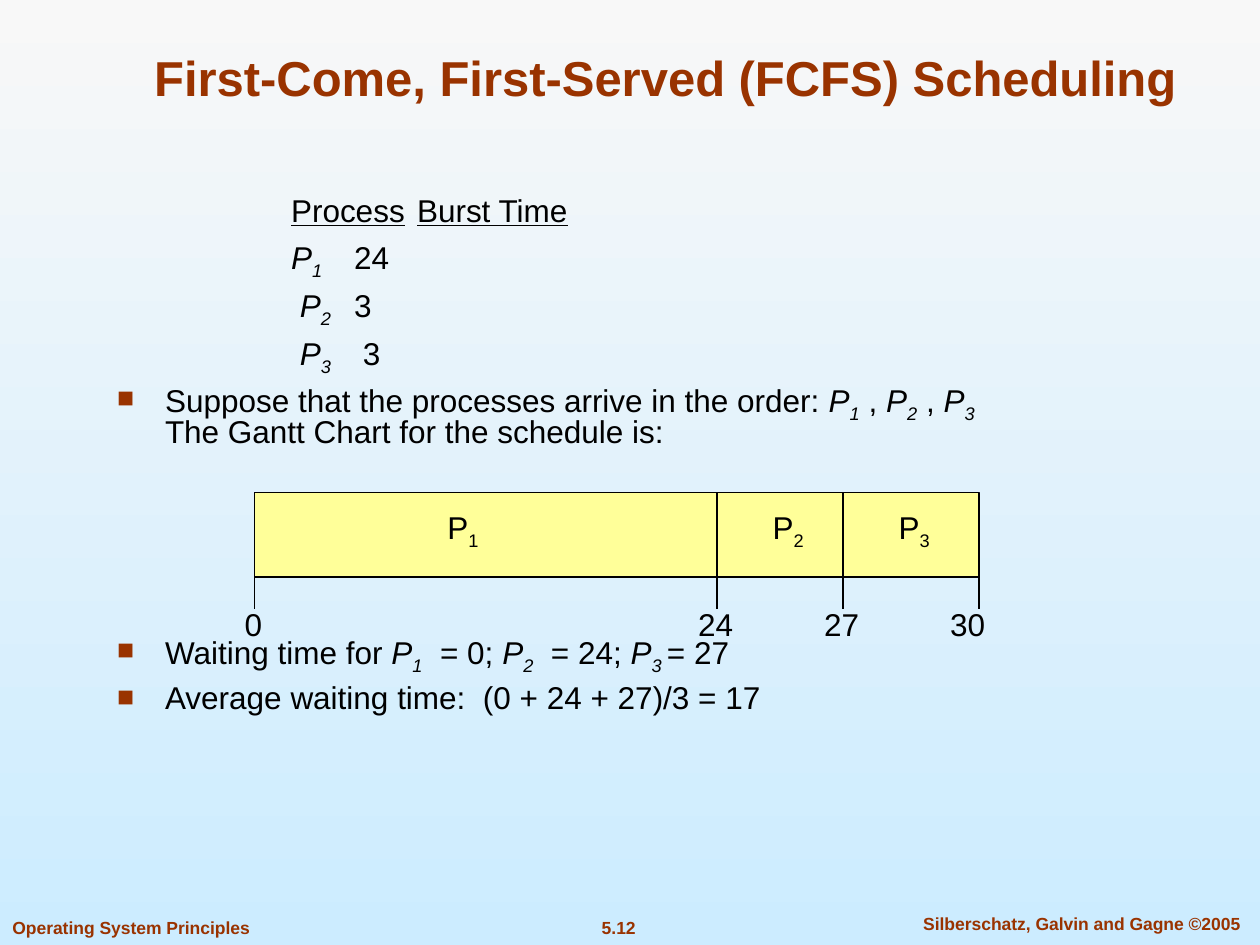
"""Build the first-come, first-served scheduling slide with its Gantt chart."""
from typing import NamedTuple

from lxml import etree
from pptx import Presentation
from pptx import util as u
from pptx.dml.color import RGBColor
from pptx.enum import shapes, text
from pptx.oxml.ns import qn

HUES = {"rust": "993300", "ink": "000000", "bar": "FFFF99", "top": "F8F8F8", "base": "CCECFF"}
FONT = "Arial"
WIDE, HIGH = u.Inches(10), u.Inches(7.5)
LEFT, MID = text.PP_ALIGN.LEFT, text.PP_ALIGN.CENTER
TABS = (1, 2.38)


class Box(NamedTuple):
    left: float
    top: float
    wide: float
    high: float


class Line(NamedTuple):
    words: str
    gap: float
    mark: str = "italic"
    bullet: bool = False


class Note(NamedTuple):
    words: str
    box: Box
    align: text.PP_ALIGN


class Job(NamedTuple):
    name: str
    spot: float


class Tick(NamedTuple):
    time: str
    edge: float
    spot: float


NOTES = [
    Note("5.12", Box(44.2, 96.4, 9.8, 3.6), MID),
    Note("Silberschatz, Galvin and Gagne ©2005", Box(71, 96, 29.7, 3.6), MID),
    Note("Operating System Principles", Box(0, 96.4, 24, 3.6), LEFT),
]
LINES = [
    Line("*Process*\t*Burst Time*", 0, "underline"),
    Line("*P1*\t24", 7.9),
    Line(" *P2*\t3", 7.9),
    Line(" *P3*\t 3", 7.9),
    Line("Suppose that the processes arrive in the order: *P1* , *P2* , *P3*\n"
         "The Gantt Chart for the schedule is:", 7, bullet=True),
    Line("Waiting time for *P1*  = 0; *P2*  = 24; *P3 *= 27", 107.2, bullet=True),
    Line("Average waiting time:  (0 + 24 + 27)/3 = 17", 7.9, bullet=True),
]
JOBS = [Job("P1", 36.75), Job("P2", 62.55), Job("P3", 72.55)]
TICKS = [Tick("0", 20.2, 20.1), Tick("24", 56.9, 56.8),
         Tick("27", 66.9, 66.8), Tick("30", 77.7, 76.8)]
BAR_TOP, BAR_END, TICK_END = 52.13, 61.07, 64.4


def hue(name: str) -> RGBColor:
    return RGBColor.from_string(HUES[name])


def place(box: Box) -> tuple:
    """Turn shares of the slide, in percent, into lengths."""
    return tuple(int(part * side / 100) for part, side in zip(box, (WIDE, HIGH) * 2))


def write(para, words: str, *, size: float = 18, color: str = "ink", bold: bool = False,
          align=LEFT, mark: str = "italic") -> None:
    """Write words, giving each starred part its mark and each process a low index."""
    para.alignment = align
    for turn, part in enumerate(words.split("*")):
        is_job = turn % 2 and part[1:2].isdigit()
        bits = [part[:1], part[1:]] if is_job else part.split("\n")
        for step, bit in enumerate(bits):
            if step and not is_job:
                para.add_line_break()
            if not bit:
                continue
            run = para.add_run()
            run.text = bit
            font = run.font
            font.name, font.size, font.bold = FONT, u.Pt(size), bold
            font.color.rgb = hue(color)
            if turn % 2 and mark:
                setattr(font, mark, True)
            if is_job and step:
                run._r.get_or_add_rPr().set("baseline", "-25000")


def label(home, words: str, box: Box, *, wrap: bool = False, anchor=text.MSO_ANCHOR.TOP,
          **style) -> None:
    frame = home.add_textbox(*place(box)).text_frame
    frame.word_wrap = wrap
    frame.vertical_anchor = anchor
    write(frame.paragraphs[0], words, **style)


def indent(para, bullet: bool) -> None:
    """Set a hanging bullet, or a tabbed row set in from the left."""
    props = para._p.get_or_add_pPr()
    props.set("marL", str(u.Inches(0.38 if bullet else 1.38)))
    props.set("indent", str(u.Inches(-0.38 if bullet else 0)))
    if not bullet:
        etree.SubElement(props, qn("a:buNone"))
        stops = etree.SubElement(props, qn("a:tabLst"))
        for stop in TABS:
            etree.SubElement(stops, qn("a:tab"), pos=str(u.Inches(stop)), algn="l")
        return
    color = etree.SubElement(props, qn("a:buClr"))
    etree.SubElement(color, qn("a:srgbClr"), val=HUES["rust"])
    etree.SubElement(props, qn("a:buSzPct"), val="90000")
    etree.SubElement(props, qn("a:buFont"), typeface=FONT)
    etree.SubElement(props, qn("a:buChar"), char="■")


def rule(home, edge: float, top: float, end: float) -> None:
    left, start, _, stop = place(Box(edge, top, 0, end))
    line = home.add_connector(shapes.MSO_CONNECTOR.STRAIGHT, left, start, left, stop)
    line.line.color.rgb, line.line.width = hue("ink"), u.Pt(0.75)
    etree.SubElement(line._element.spPr, qn("a:effectLst"))


def paint(slide) -> None:
    fill = slide.background.fill
    fill.gradient()
    fill.gradient_angle = 270
    for stop, name, spot in zip(fill.gradient_stops, ("top", "base"), (0, 1)):
        stop.color.rgb, stop.position = hue(name), spot


def fill_text(slide) -> None:
    title, body = slide.placeholders
    title.left, title.top, title.width, title.height = place(Box(7.2, 5.2, 91.2, 6.67))
    body.left, body.top, body.width, body.height = place(Box(8.3, 20.27, 82.7, 60))
    for holder in (title, body):
        holder.text_frame.auto_size = text.MSO_AUTO_SIZE.NONE
    title.text_frame.vertical_anchor = text.MSO_ANCHOR.BOTTOM
    write(title.text_frame.paragraphs[0], "First-Come, First-Served (FCFS) Scheduling",
          size=28, color="rust", bold=True, align=MID)
    frame = body.text_frame
    for turn, line in enumerate(LINES):
        para = frame.add_paragraph() if turn else frame.paragraphs[0]
        para.line_spacing, para.space_before = 0.8, u.Pt(line.gap)
        indent(para, line.bullet)
        write(para, line.words, mark=line.mark)


def draw_gantt(slide) -> None:
    home = slide.shapes.add_group_shape().shapes
    first, last = TICKS[0].edge, TICKS[-1].edge
    bar = home.add_shape(shapes.MSO_SHAPE.RECTANGLE,
                         *place(Box(first, BAR_TOP, last - first, BAR_END - BAR_TOP)))
    bar.shadow.inherit = False
    bar.fill.solid()
    bar.fill.fore_color.rgb = hue("bar")
    bar.line.color.rgb, bar.line.width = hue("ink"), u.Pt(0.75)
    style = {"anchor": text.MSO_ANCHOR.MIDDLE, "align": MID}
    for job in JOBS:
        label(home, f"*{job.name}*", Box(job.spot - 2.25, 53.07, 4.5, 5.87), mark="", **style)
    for tick in TICKS:
        rule(home, tick.edge, BAR_END, TICK_END)
        label(home, tick.time, Box(tick.spot - 2.4, 63.33, 4.8, 5.33), **style)
    for tick in TICKS[1:-1]:
        rule(home, tick.edge, BAR_TOP, BAR_END)


def main() -> None:
    deck = Presentation()
    deck.slide_width, deck.slide_height = WIDE, HIGH
    slide = deck.slides.add_slide(deck.slide_layouts[1])
    paint(slide)
    for note in NOTES:
        label(slide.shapes, note.words, note.box, wrap=True, align=note.align,
              size=10, color="rust", bold=True)
    fill_text(slide)
    draw_gantt(slide)
    deck.save("out.pptx")


if __name__ == "__main__":
    main()
